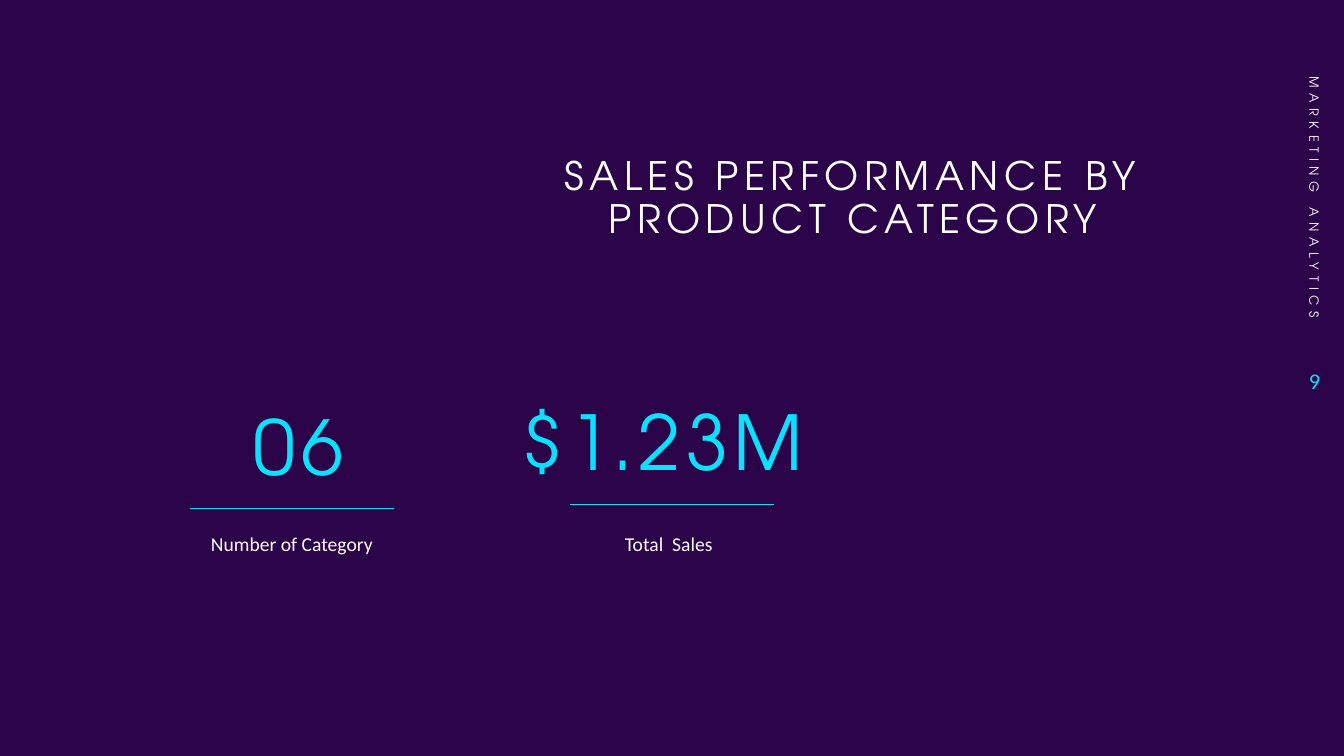
from lxml import etree
from pptx import Presentation, util as u
from pptx.dml.color import RGBColor
from pptx.enum import shapes, text
from pptx.oxml.ns import qn

PX = 914400 / 100.8
COLORS = {"background": "2B0348", "white": "FFFFFF", "cyan": "0BE1FF"}
DISPLAY, BODY = "TeX Gyre Adventor", "Calibri"
LEFT, CENTER, RIGHT = text.PP_ALIGN.LEFT, text.PP_ALIGN.CENTER, text.PP_ALIGN.RIGHT
TOP, MIDDLE, BOTTOM = text.MSO_ANCHOR.TOP, text.MSO_ANCHOR.MIDDLE, text.MSO_ANCHOR.BOTTOM


def px(length):
    return u.Emu(round(length * PX))


def color(name):
    return RGBColor.from_string(COLORS[name])


def set_values(target, values):
    for name, value in values.items():
        setattr(target, name, value)


def add_text(page, words, area, size, font, ink, align=LEFT, anchor=TOP,
             line_spacing=1.0, tracking=0, rotation=0):
    """Add a one-paragraph text box; tracking is in points."""
    box = page.shapes.add_textbox(*map(px, area))
    box.rotation = rotation
    set_values(box.text_frame, {"word_wrap": True, "vertical_anchor": anchor})
    para = box.text_frame.paragraphs[0]
    set_values(para, {"alignment": align, "line_spacing": line_spacing})
    span = para.add_run()
    span.text = words
    set_values(span.font, {"size": u.Pt(size), "name": font})
    span.font.color.rgb = color(ink)
    if tracking:
        span.font._element.set("spc", str(tracking * 100))


def add_rule(page, left, top, width):
    rule = page.shapes.add_connector(
        shapes.MSO_CONNECTOR.STRAIGHT, px(left), px(top), px(left + width), px(top))
    rule.line.color.rgb = color("cyan")
    rule.line.width = u.Pt(0.5)
    etree.SubElement(rule._element.spPr, qn("a:effectLst"))


def add_metric(page, value, value_area, label, label_area, rule_start):
    add_text(page, value, value_area, 54, DISPLAY, "cyan",
             anchor=BOTTOM, line_spacing=0.9, tracking=4)
    add_text(page, label, label_area, 14, BODY, "white", line_spacing=1.5)
    add_rule(page, *rule_start, 204)


def main():
    deck = Presentation()
    set_values(deck, {"slide_width": px(1344), "slide_height": px(756)})
    page = deck.slides.add_slide(deck.slide_layouts[6])
    page.background.fill.solid()
    page.background.fill.fore_color.rgb = color("background")

    add_text(page, "SALES PERFORMANCE BY PRODUCT CATEGORY", (554, 152, 598, 109),
             28, DISPLAY, "white", CENTER, line_spacing=0.9, tracking=4)
    add_metric(page, "06", (244, 381, 132, 116),
               "Number of Category", (201, 515, 192, 52), (190, 508))
    add_metric(page, "$1.23M", (512, 378, 319, 114),
               "Total  Sales", (615, 515, 115, 36), (570, 504))
    add_text(page, "MARKETING ANALYTICS", (1162, 155, 305, 40),
             9, DISPLAY, "white", RIGHT, MIDDLE, tracking=4, rotation=90)
    add_text(page, "9", (1270, 349, 60, 64), 16, BODY, "cyan", RIGHT, MIDDLE)
    deck.save("out.pptx")


if __name__ == "__main__":
    main()
